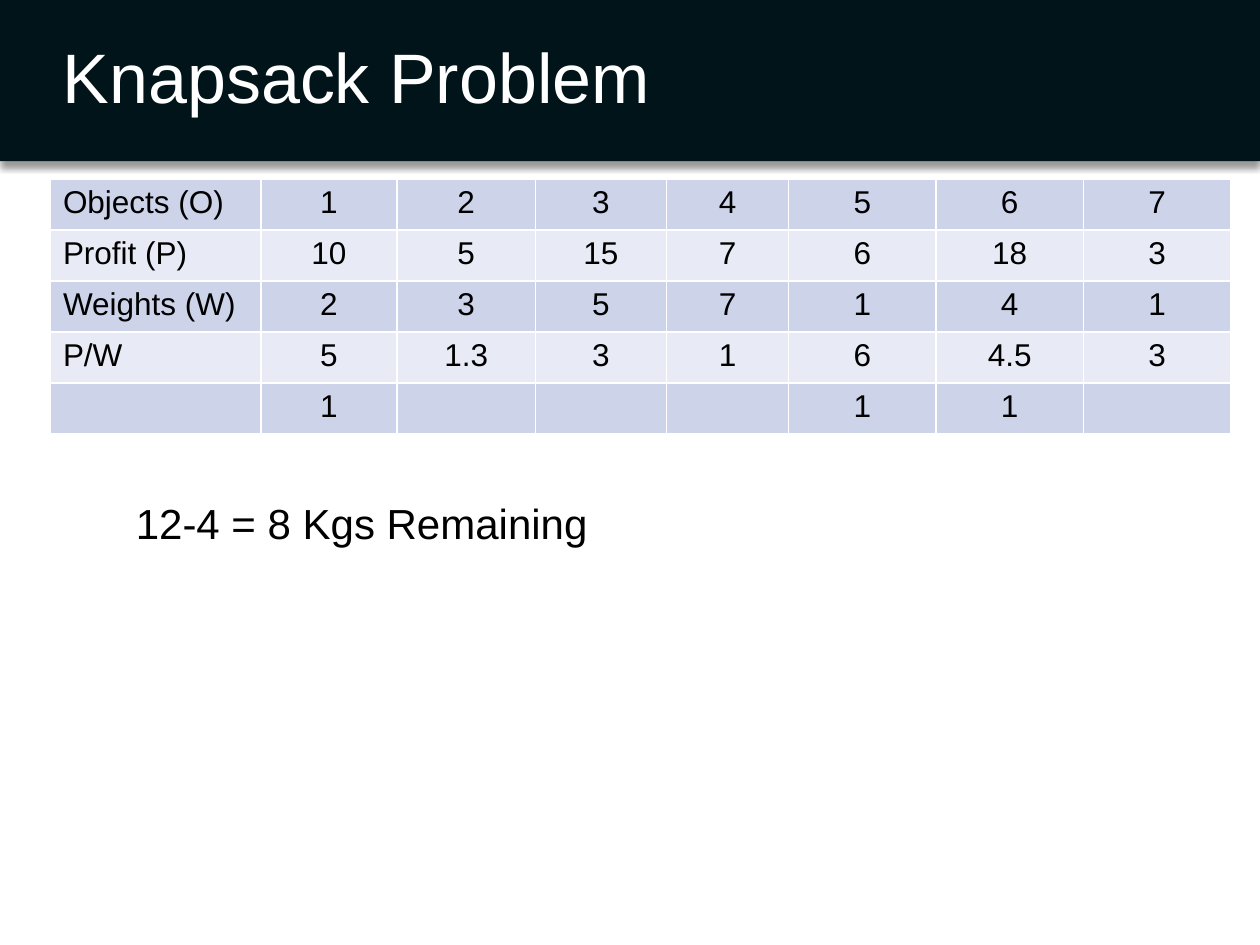
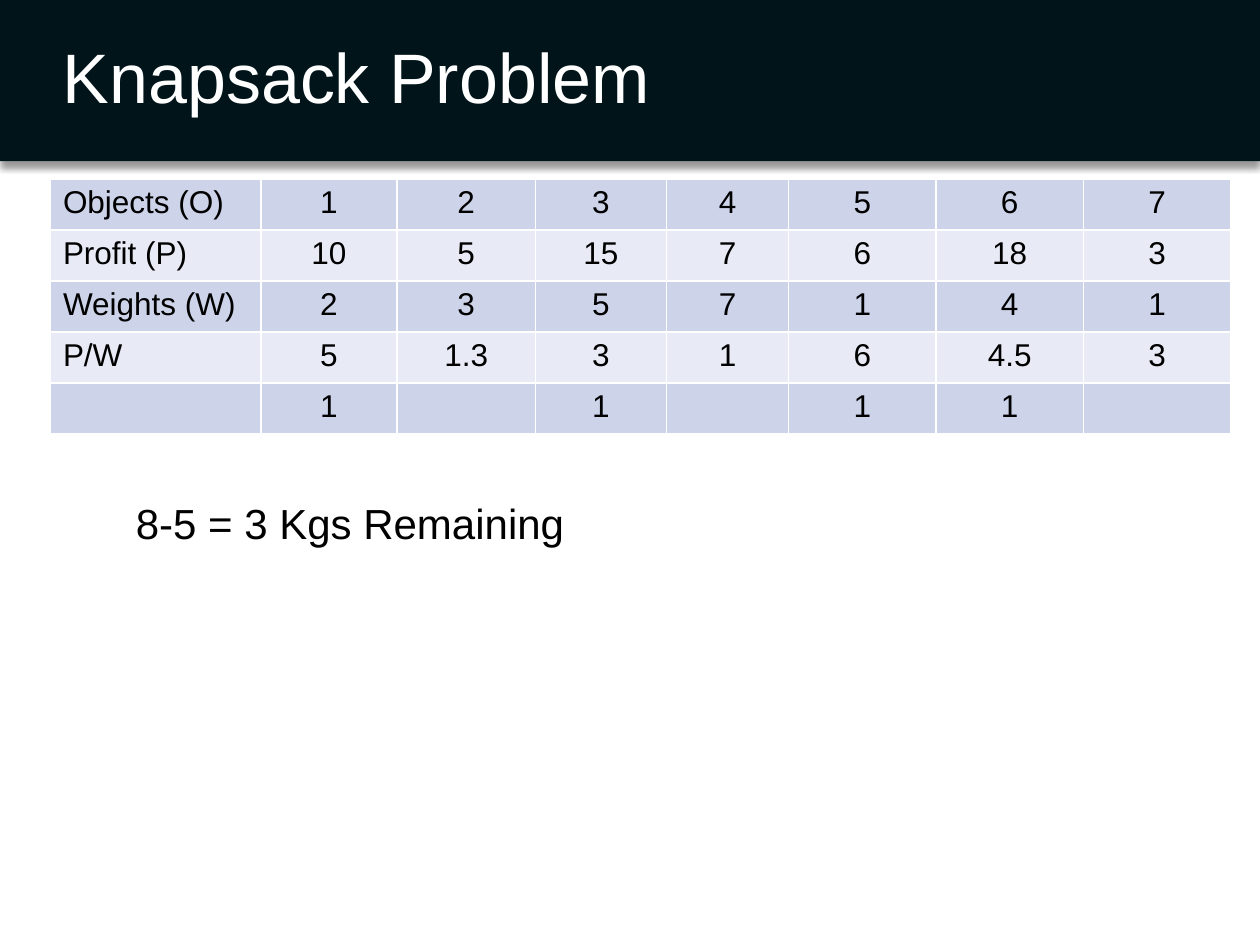
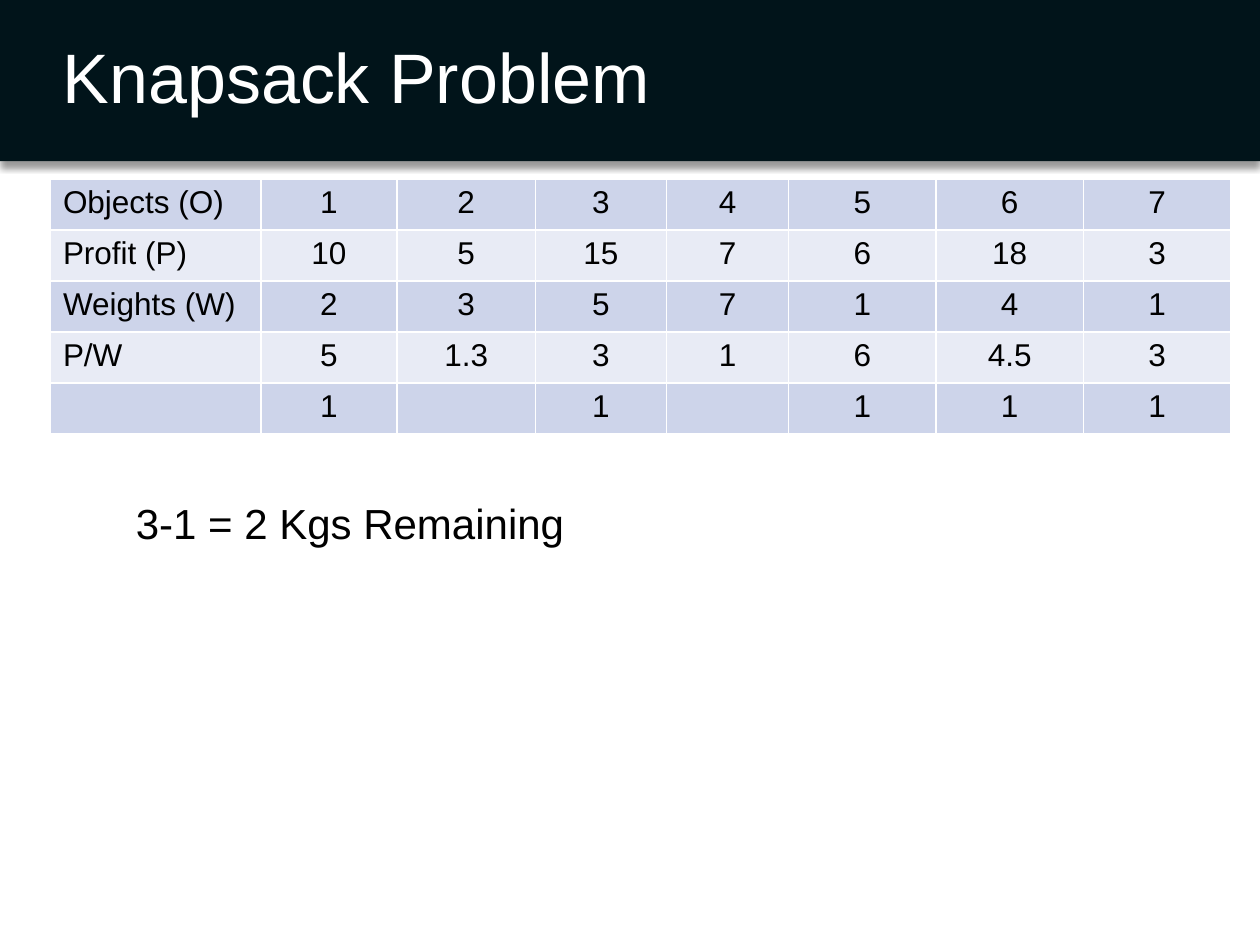
from lxml.etree import SubElement
from pptx import Presentation
from pptx.dml.color import RGBColor
from pptx.enum.shapes import MSO_SHAPE
from pptx.enum.text import MSO_ANCHOR, PP_ALIGN
from pptx.oxml import parse_xml
from pptx.oxml.ns import nsdecls, qn
from pptx.util import Inches, Pt

COLORS = {"band": "01141A", "white": "FFFFFF", "text": "000000",
          "odd": "CDD4EA", "even": "E8EBF5"}
FONT = "Arial"
WIDTH, HEIGHT = Inches(10), Inches(7.5)
GRID = 100

BAND = (0, 0, 100, 17.07)
TITLE = (4, 0, 96, 17.07)
TABLE = (4, 18.93, 93.7, 27)
NOTE = (9.8, 52, 55.6, 6.7)
COLUMNS = [16.7, 10.8, 11, 10.4, 9.7, 11.7, 11.7, 11.7]
ROW = 5.4
SHORT_ROW = 3.3

ITEMS = [
    ["Objects (O)", "1", "2", "3", "4", "5", "6", "7"],
    ["Profit (P)", "10", "5", "15", "7", "6", "18", "3"],
    ["Weights (W)", "2", "3", "5", "7", "1", "4", "1"],
    ["P/W", "5", "1.3", "3", "1", "6", "4.5", "3"],
]
STEPS = [
    ({1, 5, 6}, "12-4 = 8 Kgs Remaining", ROW),
    ({1, 3, 5, 6}, "8-5 = 3 Kgs Remaining", SHORT_ROW),
    ({1, 3, 5, 6, 7}, "3-1 = 2 Kgs Remaining", ROW),
]


def rgb(name):
    return RGBColor.from_string(COLORS[name])


def across(columns):
    return round(columns * WIDTH / GRID)


def down(rows):
    return round(rows * HEIGHT / GRID)


def place(box):
    x, y, w, h = box
    return across(x), down(y), across(w), down(h)


def write(tf, text, size, color="text", align=PP_ALIGN.LEFT):
    p = tf.paragraphs[0]
    p.alignment = align
    p.font.name = FONT
    p.font.size = Pt(size)
    p.font.color.rgb = rgb(color)
    if text:
        p.add_run().text = text
    return p


def add_text(s, box, text, size, color="text"):
    tf = s.shapes.add_textbox(*place(box)).text_frame
    tf.word_wrap = True
    return tf, write(tf, text, size, color)


def add_header(s, text):
    band = s.shapes.add_shape(MSO_SHAPE.RECTANGLE, *place(BAND))
    band.fill.solid()
    band.fill.fore_color.rgb = rgb("band")
    band.line.fill.background()
    band._element.spPr.append(parse_xml(
        f'<a:effectLst {nsdecls("a")}>'
        f'<a:outerShdw blurRad="{Pt(4)}" dist="{Pt(3)}" dir="5400000" rotWithShape="0">'
        f'<a:srgbClr val="{COLORS["text"]}"><a:alpha val="40000"/></a:srgbClr>'
        '</a:outerShdw></a:effectLst>'))
    tf, p = add_text(s, TITLE, text, 40, "white")
    tf.vertical_anchor = MSO_ANCHOR.MIDDLE
    p.line_spacing = 0.9


def add_borders(cell):
    tcPr = cell._tc.get_or_add_tcPr()
    for side in ("lnL", "lnR", "lnT", "lnB"):
        ln = SubElement(tcPr, qn(f"a:{side}"), w=str(Pt(1)))
        fill = SubElement(ln, qn("a:solidFill"))
        SubElement(fill, qn("a:srgbClr"), val=COLORS["white"])


def add_items_table(s, box, chosen, last_row):
    marks = ["1" if i in chosen else "" for i in range(len(COLUMNS))]
    rows = ITEMS + [marks]
    table = s.shapes.add_table(len(rows), len(COLUMNS), *place(box)).table
    table.first_row = table.horz_banding = False
    for column, width in zip(table.columns, COLUMNS):
        column.width = across(width)
    for row in table.rows:
        row.height = down(ROW)
    table.rows[len(rows) - 1].height = down(last_row)
    for i, values in enumerate(rows):
        for j, value in enumerate(values):
            cell = table.cell(i, j)
            add_borders(cell)
            cell.fill.solid()
            cell.fill.fore_color.rgb = rgb("even" if i % 2 else "odd")
            write(cell.text_frame, value, 18,
                  align=PP_ALIGN.CENTER if j else PP_ALIGN.LEFT)


def add_step_slide(prs, chosen, note, last_row):
    s = prs.slides.add_slide(prs.slide_layouts[6])
    add_header(s, "Knapsack Problem")
    add_items_table(s, TABLE, chosen, last_row)
    add_text(s, NOTE, note, 24)


def main():
    prs = Presentation()
    prs.slide_width, prs.slide_height = WIDTH, HEIGHT
    for step in STEPS:
        add_step_slide(prs, *step)
    prs.save("out.pptx")


if __name__ == "__main__":
    main()
